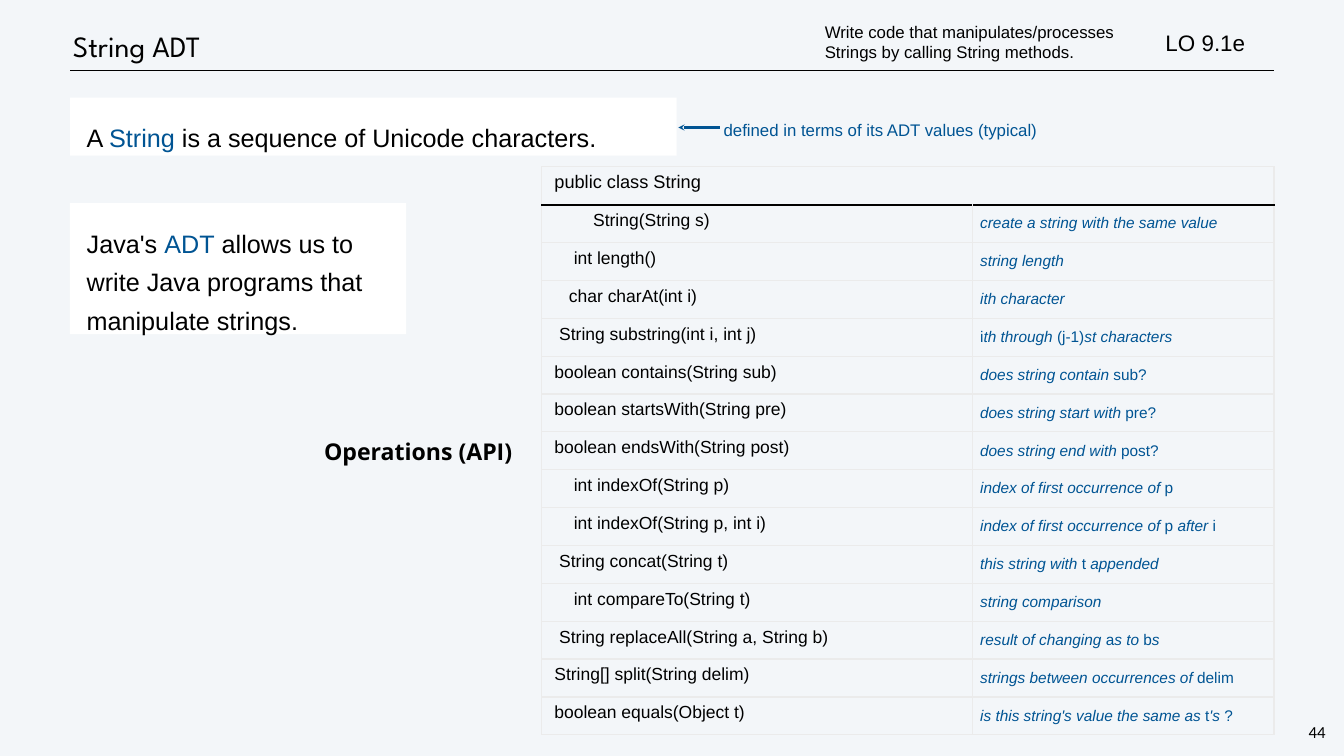
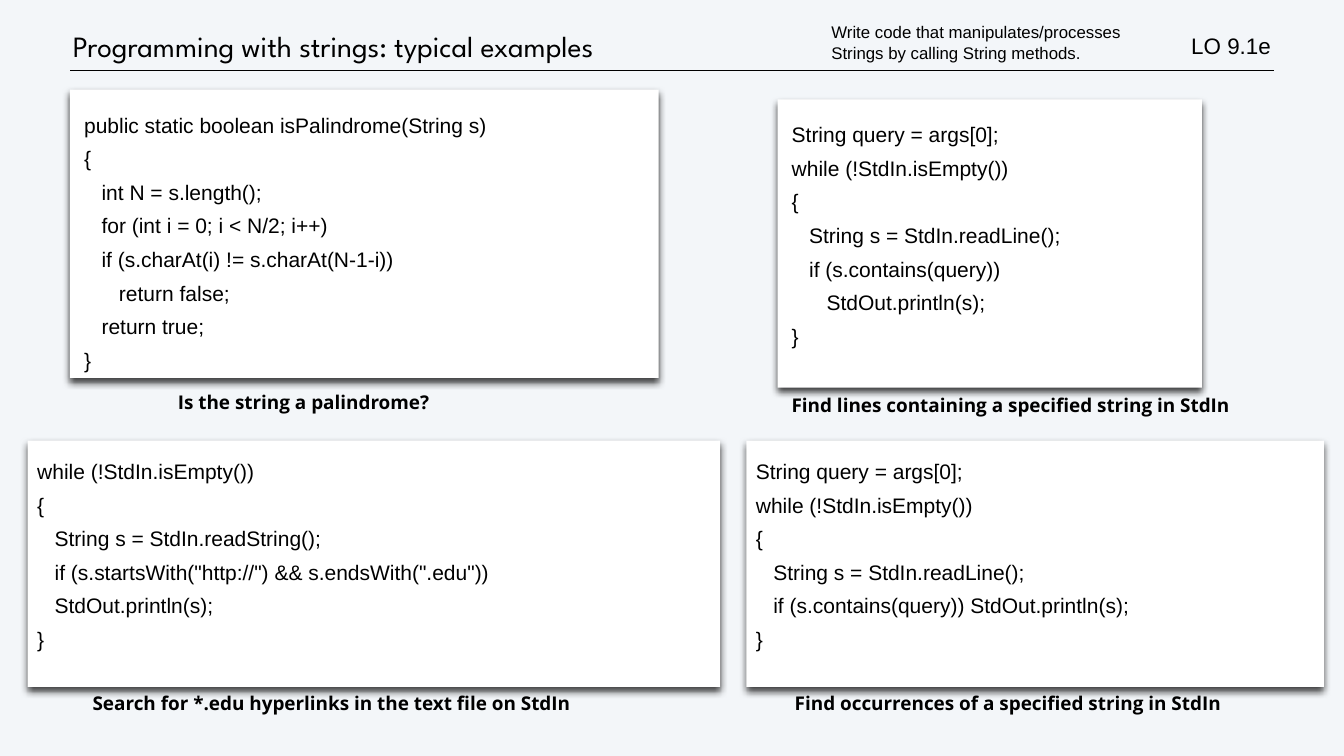
"""Build two slides on the String type with python-pptx."""
from dataclasses import dataclass

from lxml import etree
from pptx import Presentation
from pptx import util as u
from pptx.dml.color import RGBColor
from pptx.enum import shapes, text
from pptx.oxml.ns import qn


@dataclass(frozen=True)
class Theme:
    back: str = "F3F6F9"
    card: str = "FFFFFF"
    ink: str = "000000"
    blue: str = "005493"
    grid: str = "EBEBEB"
    body: str = "Arial"
    head: str = "League Spartan"
    label: str = "Open Sans"
    num: str = "Calibri"
    title: int = 42
    fact: int = 36
    side: int = 33
    tag: int = 32
    code: int = 30
    name: int = 27
    top: int = 26
    call: int = 25
    note: int = 24
    desc: int = 22


class Deck:
    def __init__(self, theme, wide, high):
        self.t = theme
        self.prs = Presentation()
        self.prs.slide_width = u.Inches(wide)
        self.prs.slide_height = u.Inches(high)
        self.slide = None

    def x(self, share):
        return round(self.prs.slide_width * share / 100)

    def y(self, share):
        return round(self.prs.slide_height * share / 100)

    def box(self, at):
        left, top, wide, high = at
        return self.x(left), self.y(top), self.x(wide), self.y(high)

    def run(self, para, words, size, color=None, font=None, bold=False, slant=False):
        run = para.add_run()
        run.text = words
        run.font.size = u.Pt(size)
        run.font.name = font or self.t.body
        run.font.bold = bold
        run.font.italic = slant
        run.font.color.rgb = RGBColor.from_string(color or self.t.ink)

    def pad(self, frame, pad):
        frame.margin_left = frame.margin_right = self.x(pad)
        frame.margin_top = frame.margin_bottom = self.x(pad)

    def fill(self, shape, lines, size, pad, lead=None, mid=False, align=None, **style):
        frame = shape.text_frame
        frame.word_wrap = True
        frame.vertical_anchor = text.MSO_ANCHOR.MIDDLE if mid else text.MSO_ANCHOR.TOP
        self.pad(frame, pad)
        for i, line in enumerate(lines):
            para = frame.add_paragraph() if i else frame.paragraphs[0]
            para.alignment = align or text.PP_ALIGN.LEFT
            if lead:
                para.line_spacing = lead
            for words, color in line:
                self.run(para, words, size, color, **style)

    def text(self, at, words, size, pad=0.22, color=None, **style):
        shape = self.slide.shapes.add_textbox(*self.box(at))
        self.fill(shape, [[(words, color)]], size, pad, **style)

    def card(self, at, lines, size, pad, lead):
        shape = self.slide.shapes.add_shape(shapes.MSO_SHAPE.RECTANGLE, *self.box(at))
        shape.shadow.inherit = False
        shape.fill.solid()
        shape.fill.fore_color.rgb = RGBColor.from_string(self.t.card)
        shape.line.fill.background()
        self.fill(shape, lines, size, pad, u.Pt(lead))
        return shape

    def fact(self, at, *runs):
        self.card(at, [runs], self.t.fact, 1.24, 55)

    def code(self, at, pad, source):
        lines = [[(line, None)] for line in source.strip().split("\n")]
        shape = self.card(at, lines, self.t.code, pad, 48)
        effects = shape._element.spPr.find(qn("a:effectLst"))
        shade = etree.SubElement(effects, qn("a:outerShdw"), blurRad=str(u.Pt(10)),
                                 dist=str(u.Pt(6)), dir="5400000", rotWithShape="0")
        tone = etree.SubElement(shade, qn("a:srgbClr"), val=self.t.ink)
        etree.SubElement(tone, qn("a:alpha"), val="75000")

    def label(self, at, words):
        self.text(at, words, self.t.name, font=self.t.label, bold=True, lead=u.Pt(32))

    def line(self, left, right, top, color, width, arrow=False):
        line = self.slide.shapes.add_connector(
            shapes.MSO_CONNECTOR.STRAIGHT,
            self.x(left), self.y(top), self.x(right), self.y(top))
        line.line.color.rgb = RGBColor.from_string(color)
        line.line.width = u.Pt(width)
        props = line._element.spPr
        if arrow:
            etree.SubElement(props.find(qn("a:ln")), qn("a:headEnd"), type="stealth")
        etree.SubElement(props, qn("a:effectLst"))

    def page(self, title, goal, tag):
        self.slide = self.prs.slides.add_slide(self.prs.slide_layouts[6])
        back = self.slide.background.fill
        back.solid()
        back.fore_color.rgb = RGBColor.from_string(self.t.back)
        self.line(5.21, 94.79, 9.33, self.t.ink, 1)
        self.text((5.21, 2.8, 55, 6.6), title, self.t.title,
                  font=self.t.head, lead=u.Pt(50), mid=True)
        self.text((*goal, 24.9, 6.13), "Write code that manipulates/processes "
                  "Strings by calling String methods.", self.t.note, mid=True)
        self.text((*tag, 11.21, 4.33), "LO 9.1e", self.t.tag, mid=True)

    def edge(self, cell, sides):
        props = cell._tc.get_or_add_tcPr()
        for side in "LRTB":
            color, width = sides.get(side, (self.t.grid, 2))
            rule = etree.SubElement(props, qn(f"a:ln{side}"), w=str(u.Pt(width)))
            paint = etree.SubElement(rule, qn("a:solidFill"))
            etree.SubElement(paint, qn("a:srgbClr"), val=color)
        cell.fill.background()

    def table(self, left, top, cols, high, head, rows):
        count = len(rows) + 1
        at = self.box((left, top, sum(cols), high * count))
        table = self.slide.shapes.add_table(count, len(cols), *at).table
        table.first_row = table.horz_banding = False
        for col, wide in zip(table.columns, cols):
            col.width = self.x(wide)
        for row in table.rows:
            row.height = self.y(high)
        heavy = (self.t.ink, 3)
        for r in range(count):
            sides = {0: {"B": heavy}, 1: {"T": heavy}}.get(r, {})
            for c in range(len(cols)):
                cell = table.cell(r, c)
                cell.vertical_anchor = text.MSO_ANCHOR.MIDDLE
                self.pad(cell, 0.56 if c else 0.15)
                self.edge(cell, sides)
        table.cell(0, 0).merge(table.cell(0, len(cols) - 1))
        self.call(table.cell(0, 0), head, self.t.top)
        for r, (name, *parts) in enumerate(rows, 1):
            self.call(table.cell(r, 0), name, self.t.call)
            para = table.cell(r, 1).text_frame.paragraphs[0]
            for i, part in enumerate(parts):
                if part:
                    self.run(para, part, self.t.desc, self.t.blue, slant=i % 2 == 0)

    def call(self, cell, words, size):
        cell.margin_left = self.x(0.94)
        para = cell.text_frame.paragraphs[0]
        para.line_spacing = 0.5
        self.run(para, words, size)


METHODS = [
    ("        String(String s)", "create a string with the same value"),
    ("    int length()", "string length"),
    ("   char charAt(int i)", "ith character"),
    (" String substring(int i, int j)", "", "i", "th through ", "(j-1)", "st characters"),
    ("boolean contains(String sub)", "does string contain ", "sub?"),
    ("boolean startsWith(String pre)", "does string start with ", "pre?"),
    ("boolean endsWith(String post)", "does string end with ", "post?"),
    ("    int indexOf(String p)", "index of first occurrence of ", "p"),
    ("    int indexOf(String p, int i)", "index of first occurrence of ", "p", " after ", "i"),
    (" String concat(String t)", "this string with ", "t", " appended"),
    ("    int compareTo(String t)", "string comparison"),
    (" String replaceAll(String a, String b)", "result of changing ", "a", "s to ", "b", "s"),
    ("String[] split(String delim)", "strings between occurrences of ", "delim"),
    ("boolean equals(Object t)", "is this string's value the same as ", "t", "'s ", "?"),
]

PALINDROME = """
public static boolean isPalindrome(String s)
{
   int N = s.length();
   for (int i = 0; i < N/2; i++)
   if (s.charAt(i) != s.charAt(N-1-i))
      return false;
   return true;
}
"""

LINES = """
String query = args[0];
while (!StdIn.isEmpty())
{
   String s = StdIn.readLine();
   if (s.contains(query))
      StdOut.println(s);
}
"""

LINKS = """
while (!StdIn.isEmpty())
{
   String s = StdIn.readString();
   if (s.startsWith("http://") && s.endsWith(".edu"))
   StdOut.println(s);
}
"""

FINDS = """
String query = args[0];
while (!StdIn.isEmpty())
{
   String s = StdIn.readLine();
   if (s.contains(query)) StdOut.println(s);
}
"""


def adt(deck):
    t = deck.t
    deck.page("String ADT", (61.15, 2.47), (86.5, 3.4))
    deck.text((97, 95.27, 2, 3.13), "44", t.note, 0.15, font=t.num,
              lead=u.Pt(28), align=text.PP_ALIGN.CENTER)
    deck.fact((5.21, 12.93, 45.14, 7.67), ("A ", t.ink), ("String", t.blue),
              (" is a sequence of Unicode characters.", t.ink))
    deck.table(40.31, 22.07, (32.06, 22.42), 5.01, "public class String", METHODS)
    deck.text((23, 58.13, 15.35, 4.33), "Operations (API)", t.side, font=t.label,
              bold=True, lead=0.8, align=text.PP_ALIGN.RIGHT)
    deck.fact((5.21, 26.87, 25.01, 17.33), ("Java's ", t.ink), ("ADT", t.blue),
              (" allows us to write Java programs that manipulate strings.", t.ink))
    deck.text((53.43, 15, 26.7, 4.07), "defined in terms of its ADT values (typical)",
              t.note, 0.41, t.blue, lead=u.Pt(30))
    deck.line(50.47, 53.54, 16.87, t.blue, 3, arrow=True)


def samples(deck):
    deck.page("Programming with strings: typical examples", (61.64, 2.53), (88.41, 3.8))
    deck.code((5.21, 11.87, 43.79, 38.13), 1.05, PALINDROME)
    deck.label((13.01, 51.27, 20, 3.73), "Is the string a palindrome?")
    deck.code((57.86, 13.13, 31.57, 38.13), 1.05, LINES)
    deck.label((58.68, 51.73, 34.72, 3.73),
               "Find lines containing a specified string in StdIn")
    deck.code((55.53, 58.27, 42.97, 32.6), 0.71, FINDS)
    deck.label((58.91, 91.13, 33.78, 3.73),
               "Find occurrences of a specified string in StdIn")
    deck.code((2.06, 58.27, 51.52, 32.6), 0.71, LINKS)
    deck.label((6.67, 91.13, 37.2, 3.73),
               "Search for *.edu hyperlinks in the text file on StdIn")


def main():
    deck = Deck(Theme(), 26.67, 15)
    adt(deck)
    samples(deck)
    deck.prs.save("out.pptx")


if __name__ == "__main__":
    main()
